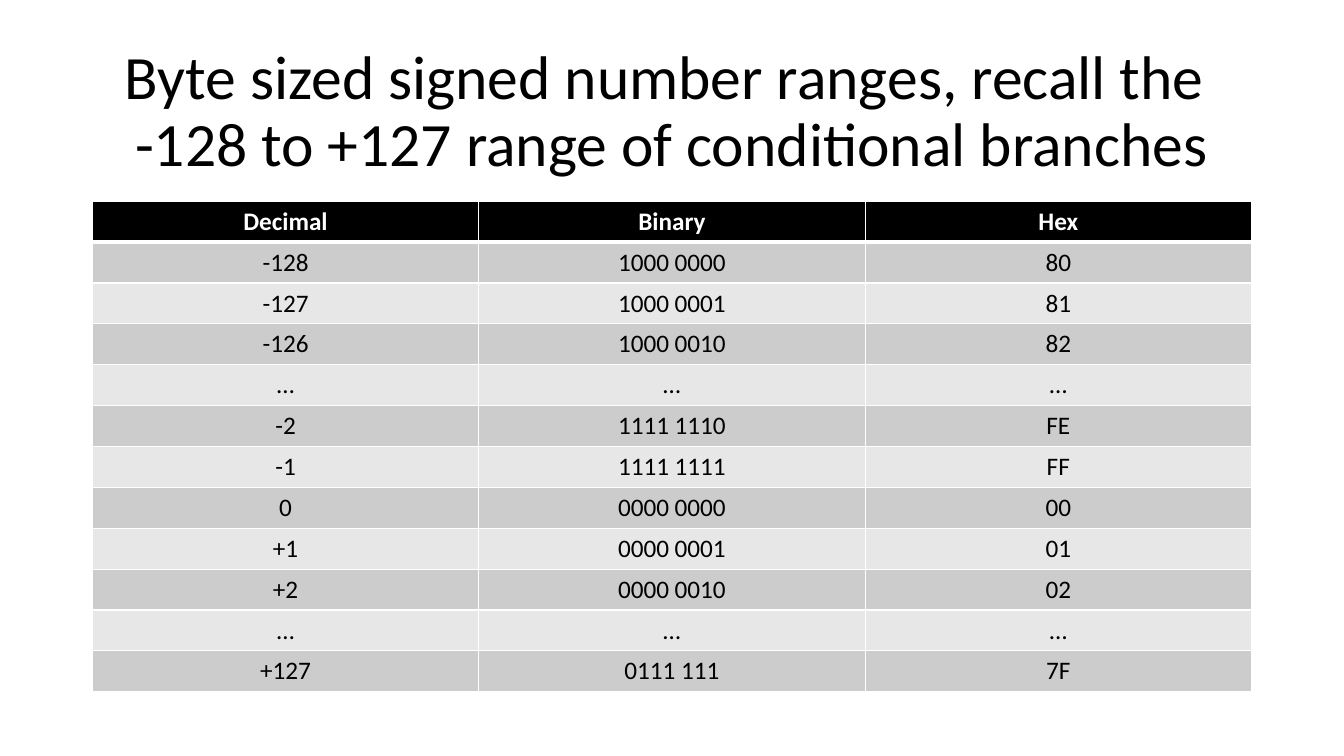
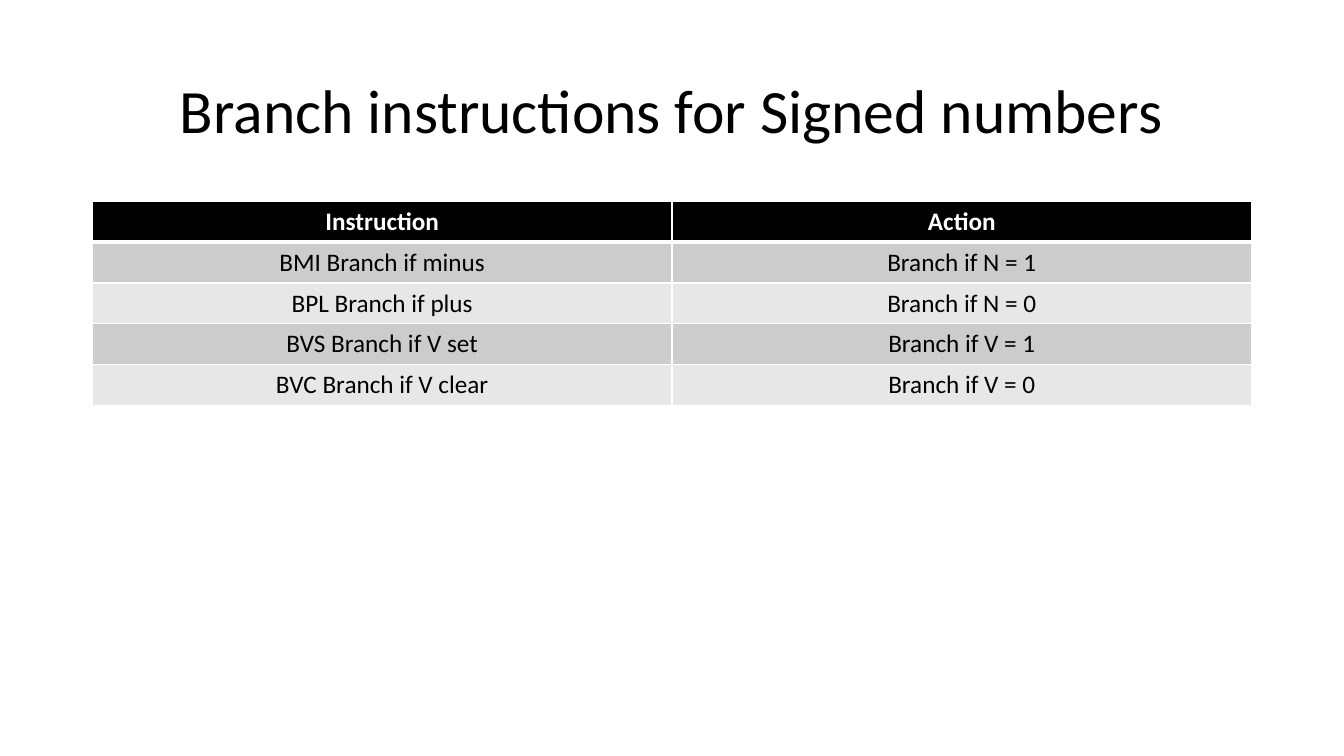
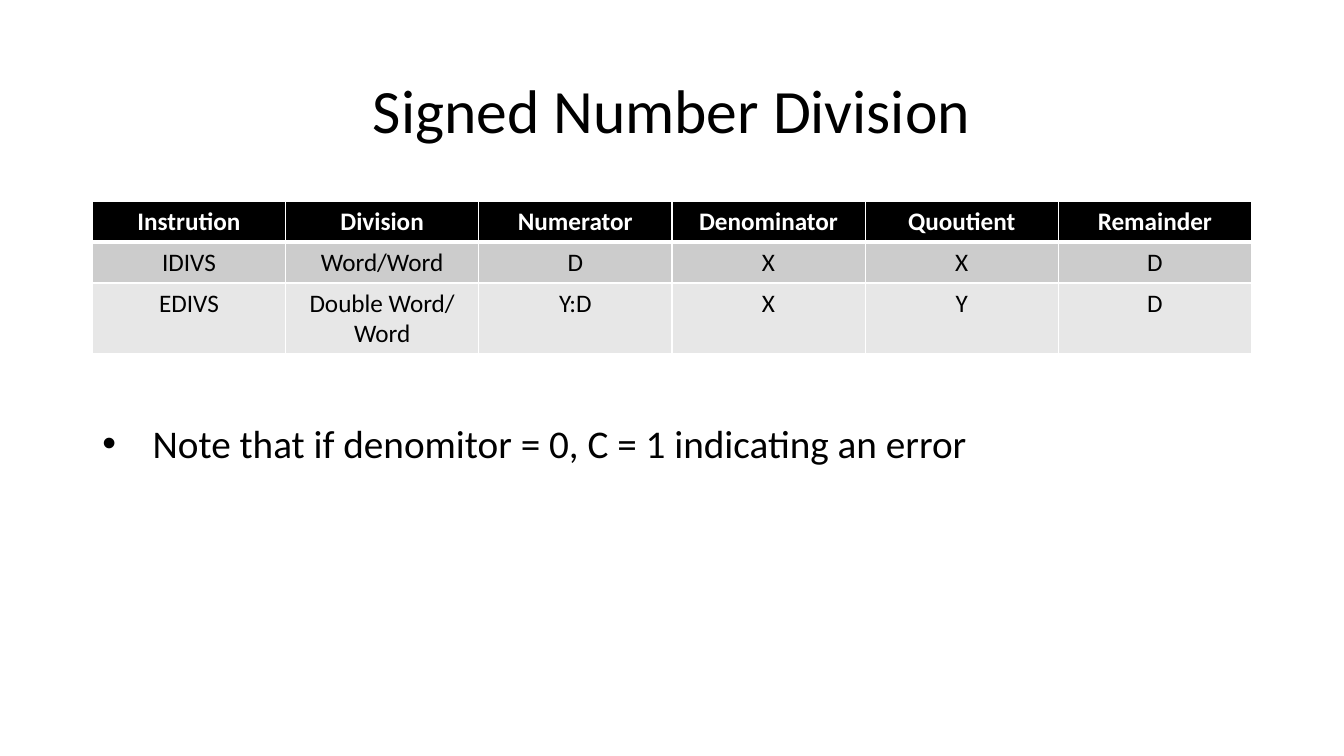
from lxml.etree import SubElement
from pptx import Presentation
from pptx.dml.color import RGBColor
from pptx.enum.text import MSO_ANCHOR, MSO_AUTO_SIZE, PP_ALIGN
from pptx.oxml.ns import qn
from pptx.util import Pt

BLACK = RGBColor(0x00, 0x00, 0x00)
WHITE = RGBColor(0xFF, 0xFF, 0xFF)
DARK_BAND = RGBColor(0xCC, 0xCC, 0xCC)
LIGHT_BAND = RGBColor(0xE7, 0xE7, 0xE7)

SLIDES = [
    {
        "title": "Byte sized signed number ranges, recall the \v-128 to +127 range of conditional branches",
        "rows": [
            ("Decimal", "Binary", "Hex"),
            ("-128", "1000 0000", "80"),
            ("-127", "1000 0001", "81"),
            ("-126", "1000 0010", "82"),
            ("…", "…", "…"),
            ("-2", "1111 1110", "FE"),
            ("-1", "1111 1111", "FF"),
            ("0", "0000 0000", "00"),
            ("+1", "0000 0001", "01"),
            ("+2", "0000 0010", "02"),
            ("…", "…", "…"),
            ("+127", "0111 111", "7F"),
        ],
    },
    {
        "title": "Branch instructions for Signed numbers",
        "rows": [
            ("Instruction", "Action"),
            ("BMI Branch if minus", "Branch if N = 1"),
            ("BPL Branch if plus", "Branch if N = 0"),
            ("BVS Branch if V set", "Branch if V = 1"),
            ("BVC Branch if V clear", "Branch if V = 0"),
        ],
    },
    {
        "title": "Signed Number Division",
        "rows": [
            ("Instrution", "Division", "Numerator", "Denominator", "Quoutient", "Remainder"),
            ("IDIVS", "Word/Word", "D", "X", "X", "D"),
            ("EDIVS", "Double Word/ Word", "Y:D", "X", "Y", "D"),
        ],
        "note": "Note that if denomitor = 0, C = 1 indicating an error",
    },
]

LEFT, WIDTH = 66, 828
TITLE_TOP, TITLE_HEIGHT = 28.75, 104.38
TABLE_TOP, ROW_HEIGHT = 143.75, 29.2
NOTE_TOP, NOTE_WIDTH, NOTE_HEIGHT = 296, 639.4, 41.2
NOTE_INDENT = 36

TITLE_FONT = {"name": "Calibri", "size": Pt(44)}
NOTE_FONT = {"name": "Calibri", "size": Pt(28)}
CELL_FONT = {"name": "Calibri", "size": Pt(18), "bold": False}
HEADER_FONT = {**CELL_FONT, "bold": True}


def write(para, text, font, color):
    para.text = text
    for span in para.runs:
        for name, value in font.items():
            setattr(span.font, name, value)
        span.font.color.rgb = color


def add_title(page, text):
    box = page.shapes.add_textbox(Pt(LEFT), Pt(TITLE_TOP), Pt(WIDTH), Pt(TITLE_HEIGHT))
    frame = box.text_frame
    frame.word_wrap = True
    frame.vertical_anchor = MSO_ANCHOR.MIDDLE
    para = frame.paragraphs[0]
    para.alignment = PP_ALIGN.CENTER
    para.line_spacing = 0.9
    write(para, text, TITLE_FONT, BLACK)


def add_borders(cell, widths):
    properties = cell._tc.get_or_add_tcPr()
    for side, width in widths.items():
        line = SubElement(properties, qn(f"a:ln{side}"), w=str(Pt(width)))
        fill = SubElement(line, qn("a:solidFill"))
        SubElement(fill, qn("a:srgbClr"), val=str(WHITE))


def add_grid(page, rows):
    columns = len(rows[0])
    table = page.shapes.add_table(
        len(rows), columns, Pt(LEFT), Pt(TABLE_TOP), Pt(WIDTH), Pt(ROW_HEIGHT * len(rows))
    ).table
    for column in table.columns:
        column.width = Pt(WIDTH / columns)
    for index, values in enumerate(rows):
        table.rows[index].height = Pt(ROW_HEIGHT)
        header = index == 0
        band = BLACK if header else DARK_BAND if index % 2 else LIGHT_BAND
        widths = {"L": 1, "R": 1, "T": 3 if index == 1 else 1, "B": 3 if header else 1}
        for position, value in enumerate(values):
            cell = table.cell(index, position)
            add_borders(cell, widths)
            cell.fill.solid()
            cell.fill.fore_color.rgb = band
            para = cell.text_frame.paragraphs[0]
            para.alignment = PP_ALIGN.CENTER
            write(para, value, HEADER_FONT if header else CELL_FONT, WHITE if header else BLACK)


def add_note(page, text):
    box = page.shapes.add_textbox(Pt(LEFT), Pt(NOTE_TOP), Pt(NOTE_WIDTH), Pt(NOTE_HEIGHT))
    frame = box.text_frame
    frame.word_wrap = False
    frame.auto_size = MSO_AUTO_SIZE.SHAPE_TO_FIT_TEXT
    para = frame.paragraphs[0]
    properties = para._p.get_or_add_pPr()
    properties.set("marL", str(Pt(NOTE_INDENT)))
    properties.set("indent", str(-Pt(NOTE_INDENT)))
    SubElement(properties, qn("a:buFont"), typeface="Arial")
    SubElement(properties, qn("a:buChar"), char="•")
    write(para, text, NOTE_FONT, BLACK)


def main():
    deck = Presentation()
    deck.slide_width, deck.slide_height = Pt(960), Pt(540)
    for content in SLIDES:
        page = deck.slides.add_slide(deck.slide_layouts[6])
        add_title(page, content["title"])
        add_grid(page, content["rows"])
        if "note" in content:
            add_note(page, content["note"])
    deck.save("out.pptx")


if __name__ == "__main__":
    main()
